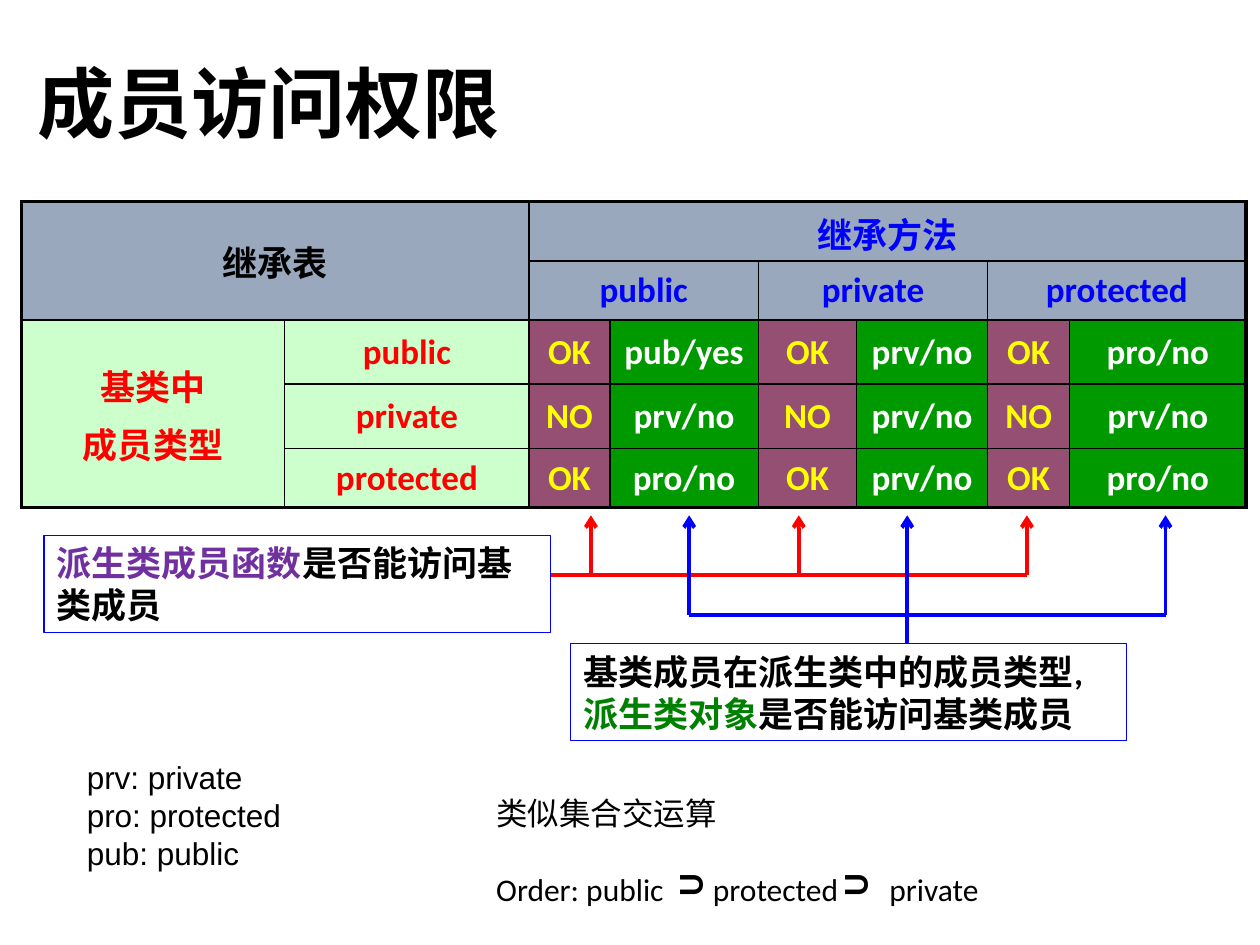
from lxml import etree
from pptx import Presentation, util as u
from pptx.dml.color import RGBColor
from pptx.enum import shapes, text
from pptx.oxml.ns import qn

BLACK, BLUE, RED, WHITE = "000000", "0000FF", "FF0000", "FFFFFF"
CJK = "Noto Sans CJK SC"


def color(hex_string):
    return RGBColor.from_string(hex_string)


def write(frame, paragraphs, size, font="Calibri", bold=False):
    """Fill a text frame; each paragraph is a list of (words, colour) runs."""
    for i, runs in enumerate(paragraphs):
        para = frame.paragraphs[0] if i == 0 else frame.add_paragraph()
        for words, hex_string in runs:
            run = para.add_run()
            run.text = words
            run.font.size, run.font.bold, run.font.name = u.Pt(size), bold, font
            run.font.color.rgb = color(hex_string)
            etree.SubElement(run.font._element, qn("a:ea"), typeface=CJK)


prs = Presentation()
prs.slide_width, prs.slide_height = u.Inches(10), u.Inches(7.5)
slide = prs.slides.add_slide(prs.slide_layouts[6])

# Title
title = slide.shapes.add_textbox(*map(u.Inches, (0.2, 0.13, 8.62, 1.45))).text_frame
title.word_wrap = True
title.vertical_anchor = text.MSO_ANCHOR.MIDDLE
write(title, [[("成员访问权限", BLACK)]], 44, CJK, True)
title.paragraphs[0].line_spacing = 0.9

# Access table: headings as (row, column, rows, columns, lines, colour, fill)
widths = [2.09, 1.94, 0.64, 1.18, 0.78, 1.04, 0.65, 1.4]
heights = [0.47, 0.47, 0.51, 0.51, 0.47]
levels = ["public", "private", "protected"]
HEAD, MEMBER, ACCESS, RESULT = "99A8BD", "CCFFCC", "954F72", "009900"
entries = [(0, 0, 2, 2, ["继承表"], BLACK, HEAD),
           (0, 2, 1, 6, ["继承方法"], BLUE, HEAD),
           (2, 0, 3, 1, ["基类中", "成员类型"], RED, MEMBER)]
access = ["OK", "NO", "OK"]
results = [["pub/yes", "prv/no", "pro/no"],
           ["prv/no", "prv/no", "prv/no"],
           ["pro/no", "prv/no", "pro/no"]]
for i, level in enumerate(levels):
    entries.append((1, 2 + 2 * i, 1, 2, [level], BLUE, HEAD))
    entries.append((2 + i, 1, 1, 1, [level], RED, MEMBER))
    for j, result in enumerate(results[i]):
        entries.append((2 + i, 2 + 2 * j, 1, 1, [access[i]], "FFFF00", ACCESS))
        entries.append((2 + i, 3 + 2 * j, 1, 1, [result], WHITE, RESULT))

table = slide.shapes.add_table(len(heights), len(widths), u.Inches(0.17), u.Inches(1.6),
                               u.Inches(sum(widths)), u.Inches(sum(heights))).table
table.first_row = table.horz_banding = False
for column, width in zip(table.columns, widths):
    column.width = u.Inches(width)
for row, height in zip(table.rows, heights):
    row.height = u.Inches(height)

for r, c, rows, cols, lines, ink, fill in entries:
    cell = table.cell(r, c)
    if rows * cols > 1:
        cell.merge(table.cell(r + rows - 1, c + cols - 1))
    cell.vertical_anchor = text.MSO_ANCHOR.MIDDLE
    write(cell.text_frame, [[(line, ink)] for line in lines], 20, bold=True)
    for para in cell.text_frame.paragraphs:
        para.alignment = text.PP_ALIGN.CENTER
        para.space_before = u.Pt(4)
    # Thick lines only on the outer edge of the table
    outer = {"L": c == 0, "R": c + cols == len(widths),
             "T": r == 0, "B": r + rows == len(heights)}
    props = cell._tc.get_or_add_tcPr()
    for side, thick in outer.items():
        border = etree.SubElement(props, qn("a:ln" + side),
                                  w=str(u.Pt(2.25 if thick else 1)))
        solid = etree.SubElement(border, qn("a:solidFill"))
        etree.SubElement(solid, qn("a:srgbClr"), val=BLACK)
    cell.fill.solid()
    cell.fill.fore_color.rgb = color(fill)

# Arrows to the table columns, joined by one rail per colour
tip, red_rail, blue_rail, note_top = 4.09, 4.56, 4.88, 5.11
links = [(4.37, red_rail, 8.15, red_rail, RED, False),
         (5.47, blue_rail, 9.25, blue_rail, BLUE, False)]
links += [(x, tip, x, red_rail, RED, True) for x in (4.69, 6.34, 8.15)]
links += [(x, tip, x, end, BLUE, True)
          for x, end in ((5.47, blue_rail), (7.2, note_top), (9.25, blue_rail))]
for x1, y1, x2, y2, ink, arrow in links:
    link = slide.shapes.add_connector(shapes.MSO_CONNECTOR.STRAIGHT,
                                      *map(u.Inches, (x1, y1, x2, y2)))
    link.line.color.rgb = color(ink)
    link.line.width = u.Pt(2.25)
    if arrow:
        etree.SubElement(link.line._get_or_add_ln(), qn("a:headEnd"), type="arrow")
    etree.SubElement(link._element.spPr, qn("a:effectLst"))

# Boxed notes
notes = [((0.35, 4.25, 4.02, 0.77), "Arial", True,
          [[("派生类成员函数", "7030A0"), ("是否能访问基类成员", BLACK)]]),
         ((4.53, note_top, 4.41, 0.77), "Calibri", False,
          [[("基类成员在派生类中的成员类型,".replace(",", ","), BLACK)],
           [("派生类对象", "008000"), ("是否能访问基类成员", BLACK)]])]
for place, font, wrap, paragraphs in notes:
    note = slide.shapes.add_shape(shapes.MSO_SHAPE.RECTANGLE, *map(u.Inches, place))
    note.shadow.inherit = False
    note.fill.solid()
    note.fill.fore_color.rgb = color(WHITE)
    note.line.color.rgb = color(BLUE)
    note.line.width = u.Pt(0.75)
    note.text_frame.word_wrap = wrap
    note.text_frame.auto_size = text.MSO_AUTO_SIZE.SHAPE_TO_FIT_TEXT
    write(note.text_frame, paragraphs, 20, font, True)
    for para in note.text_frame.paragraphs:
        para.alignment = text.PP_ALIGN.LEFT

# Abbreviations and order of access
captions = [((0.59, 5.97, 2.52, 1.01), "Arial",
             ["prv: private", "pro: protected", "pub: public"]),
            ((3.84, 6.25, 5, 1.01), "Calibri",
             ["类似集合交运算", "Order: public\tprotected\tprivate"])]
for place, font, lines in captions:
    caption = slide.shapes.add_textbox(*map(u.Inches, place)).text_frame
    caption.word_wrap = True
    write(caption, [[(line, BLACK)] for line in lines], 18, font)
order = caption.paragraphs[-1]
order.space_before = u.Pt(22)
stops = etree.SubElement(order._p.get_or_add_pPr(), qn("a:tabLst"))
for stop in (1.72, 3.12):
    etree.SubElement(stops, qn("a:tab"), pos=str(u.Inches(stop)), algn="l")

# Superset signs: a letter U turned on its side
for x in (5.25, 6.56):
    sign = slide.shapes.add_textbox(*map(u.Inches, (x, 6.93, 0.54, 0.28)))
    sign.rotation = 180
    sign.text_frame.word_wrap = False
    sign.text_frame.auto_size = text.MSO_AUTO_SIZE.SHAPE_TO_FIT_TEXT
    sign.text_frame._txBody.bodyPr.set("vert", "eaVert")
    write(sign.text_frame, [[("U", BLACK)]], 20, bold=True)

prs.save("out.pptx")
